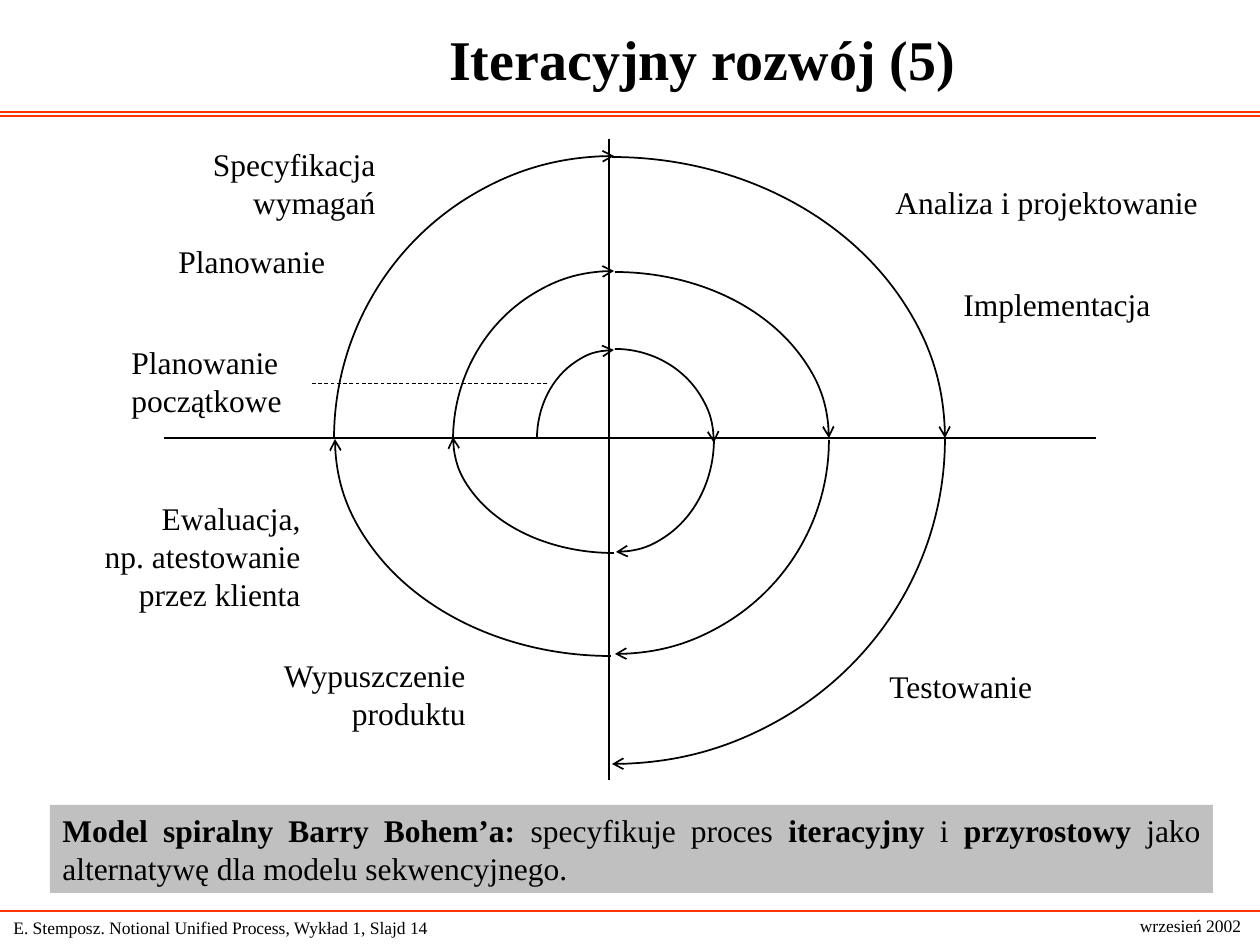
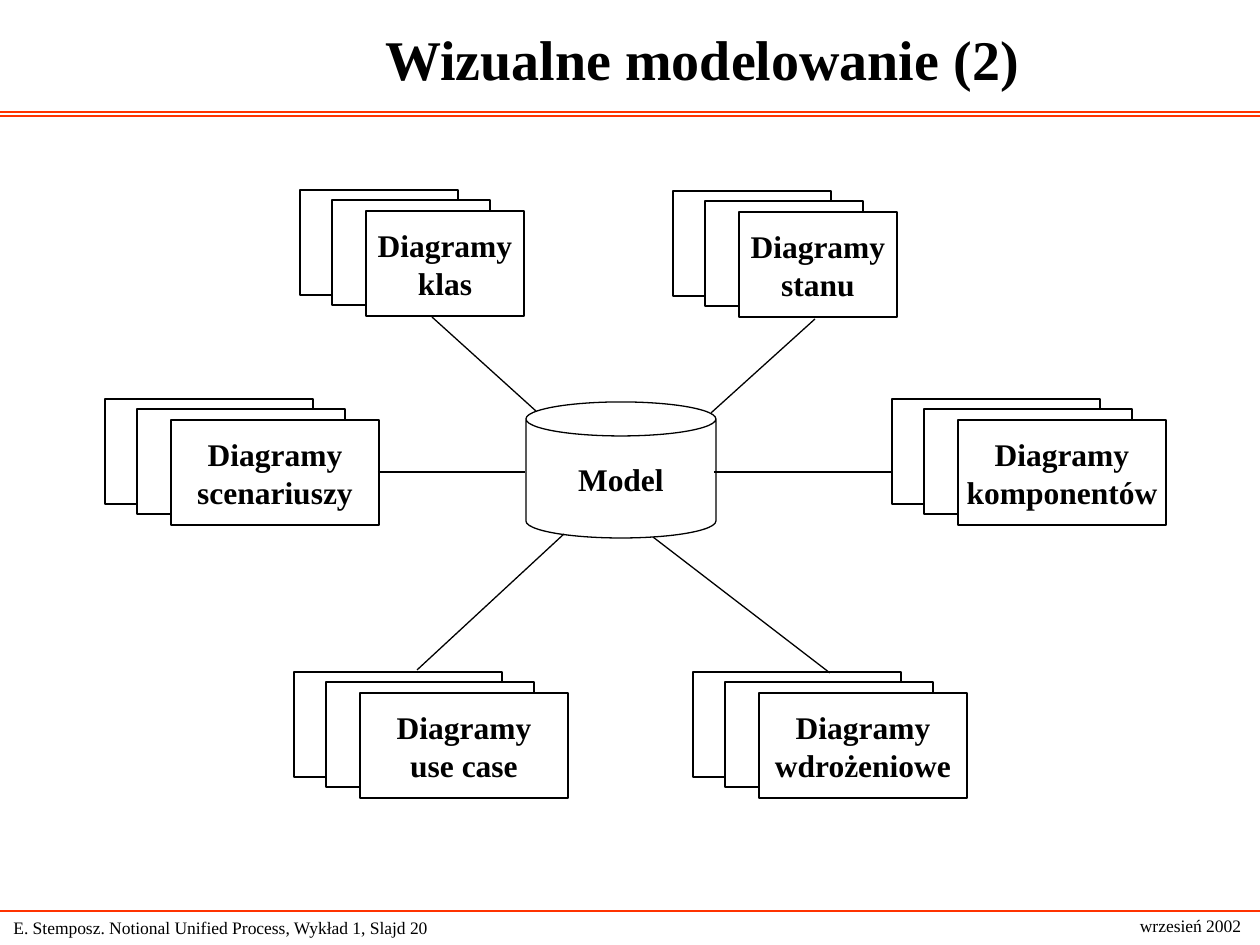
import pptx
import pptx.util
import pptx.dml.color
import pptx.enum.dml
import pptx.enum.shapes
import pptx.enum.text
import pptx.oxml.ns
import lxml.etree

RGB = pptx.dml.color.RGBColor
BLACK = RGB(0x00, 0x00, 0x00)
WHITE = RGB(0xFF, 0xFF, 0xFF)
GREY = RGB(0xC0, 0xC0, 0xC0)
RED = RGB(0xFF, 0x33, 0x00)
FONT = "Times New Roman"

SCALE = 914400 // 126
WIDTH, HEIGHT = 1260, 945
SHAPE = pptx.enum.shapes.MSO_SHAPE
ALIGN = pptx.enum.text.PP_ALIGN
ANCHOR = pptx.enum.text.MSO_ANCHOR


def emu(*sizes):
    return [pptx.util.Emu(size * SCALE) for size in sizes]


def add_mark(parent, tag, **attrs):
    return lxml.etree.SubElement(parent, pptx.oxml.ns.qn(tag), **attrs)


def write(shape, text, size=18, bold=False, align=ALIGN.LEFT,
          anchor=ANCHOR.TOP, wrap=False):
    """Fill a shape with text; asterisks switch bold on and off."""
    frame = shape.text_frame
    frame.word_wrap = wrap
    frame.vertical_anchor = anchor
    for i, line in enumerate(text.split("\n")):
        para = frame.paragraphs[0] if i == 0 else frame.add_paragraph()
        para.alignment = align
        for j, part in enumerate(line.split("*")):
            if not part:
                continue
            run = para.add_run()
            run.text = part
            run.font.name = FONT
            run.font.size = pptx.util.Pt(size)
            run.font.bold = bold or j % 2 == 1
            run.font.color.rgb = BLACK


def add_text(slide, box, text, **style):
    write(slide.shapes.add_textbox(*emu(*box)), text, **style)


def add_form(slide, kind, box, fill=None, width=None):
    form = slide.shapes.add_shape(kind, *emu(*box))
    form.shadow.inherit = False
    if fill is None:
        form.fill.background()
    else:
        form.fill.solid()
        form.fill.fore_color.rgb = fill
    if width is None:
        form.line.fill.background()
    else:
        form.line.color.rgb = BLACK
        form.line.width = pptx.util.Pt(width)
    return form


def add_line(slide, start, end, color=BLACK, width=0.75):
    line = slide.shapes.add_connector(
        pptx.enum.shapes.MSO_CONNECTOR.STRAIGHT, *emu(*start, *end))
    line.line.color.rgb = color
    line.line.width = pptx.util.Pt(width)
    add_mark(line._element.spPr, "a:effectLst")
    return line


def add_page(deck, title, number):
    slide = deck.slides.add_slide(deck.slide_layouts[6])
    for y in (112, 116, 911):
        add_line(slide, (0, y), (WIDTH, y), RED)
    add_text(slide, (146, 0, 1113, 116), title, size=32, bold=True,
             align=ALIGN.CENTER, anchor=ANCHOR.MIDDLE, wrap=True)
    add_text(slide, (1, 911, 564, 34),
             f"E. Stemposz. Notional Unified Process, Wykład 1, Slajd {number}",
             size=10, anchor=ANCHOR.MIDDLE, wrap=True)
    add_text(slide, (1125, 909, 131, 34), "wrzesień 2002", size=10,
             align=ALIGN.CENTER, anchor=ANCHOR.MIDDLE)
    return slide


def add_arc(slide, center, radii, start):
    """Draw a clockwise quarter of an ellipse with an arrow at its end."""
    (x, y), (rx, ry) = center, radii
    arc = add_form(slide, SHAPE.ARC, (x - rx, y - ry, 2 * rx, 2 * ry), width=1)
    # One adjustment unit is 100000 and one degree is 60000.
    arc.adjustments[0] = start * 0.6
    arc.adjustments[1] = (start + 90) % 360 * 0.6
    add_mark(arc.line._get_or_add_ln(), "a:tailEnd", type="arrow")


def add_spiral(slide, box):
    left, top, width, height = box
    hub_x, hub_y = left + 445, top + 299
    add_line(slide, (left, hub_y), (left + width, hub_y), width=1)
    add_line(slide, (hub_x, top), (hub_x, top + height), width=1)
    # Centre offset from the hub, then the two radii, for each quarter turn.
    turns = [
        (5, 1, 77, 89), (6, 5, 99, 94), (7, 1, 98, 113), (5, -1, 161, 116),
        (5, 2, 161, 169), (6, 0, 214, 166), (6, 2, 214, 214), (2, 1, 276, 217),
        (5, 1, 280, 283), (3, 0, 333, 281), (3, 1, 333, 325),
    ]
    for i, (dx, dy, rx, ry) in enumerate(turns):
        add_arc(slide, (hub_x + dx, hub_y + dy), (rx, ry), (180 + 90 * i) % 360)
    guide = add_line(slide, (left + 148, top + 244), (left + 384, top + 244),
                     width=0.5)
    guide.line.dash_style = pptx.enum.dml.MSO_LINE.DASH

    labels = [
        (2, 97, 190, 50, "Planowanie", ALIGN.LEFT),
        (719, 38, 340, 50, "Analiza i projektowanie", ALIGN.LEFT),
        (95, 511, 219, 88, "Wypuszczenie\nproduktu", ALIGN.RIGHT),
        (-82, 354, 231, 126, "Ewaluacja,\nnp. atestowanie\nprzez klienta",
         ALIGN.RIGHT),
        (-45, 198, 195, 88, "Planowanie\npoczątkowe", ALIGN.LEFT),
        (19, 0, 205, 88, "Specyfikacja\nwymagań", ALIGN.RIGHT),
        (787, 140, 225, 50, "Implementacja", ALIGN.LEFT),
        (713, 522, 190, 50, "Testowanie", ALIGN.LEFT),
    ]
    for x, y, wide, high, text, align in labels:
        add_text(slide, (left + x, top + y, wide, high), text, align=align,
                 wrap=True)


def add_note(slide, box):
    note = add_form(slide, SHAPE.RECTANGLE, box, fill=GREY)
    write(note, "*Model spiralny Barry Bohem’a: *specyfikuje proces *iteracyjny*"
          " i *przyrostowy* jako alternatywę dla modelu sekwencyjnego.",
          align=ALIGN.JUSTIFY, wrap=True)


def add_stack(slide, box, text):
    """Lay three equal cards in steps and write on the front one."""
    left, top, width, height = box
    for dx, dy in ((0, 0), (32, 10), (66, 21)):
        card = add_form(slide, SHAPE.RECTANGLE,
                        (left + dx, top + dy, width, height), WHITE, 0.75)
    write(card, text, bold=True, align=ALIGN.CENTER, anchor=ANCHOR.MIDDLE)


def add_model(slide, box):
    left, top, width, height = box
    can = add_form(slide, SHAPE.CAN, (left + 421, top + 212, 190, 136),
                   width=0.75)
    can.adjustments[0] = 0.25
    write(can, "Model", bold=True, align=ALIGN.CENTER, anchor=ANCHOR.MIDDLE)

    # Stack corner and card width, kind of diagram, then the ends of its line.
    stacks = [
        (195, 0, 158, "klas", (327, 127), (431, 221)),
        (787, 209, 208, "komponentów", (609, 282), (787, 282)),
        (568, 1, 158, "stanu", (710, 129), (606, 223)),
        (588, 482, 208, "wdrożeniowe", (548, 347), (725, 483)),
        (189, 482, 208, "use case", (312, 480), (459, 344)),
        (0, 209, 208, "scenariuszy", (273, 282), (420, 282)),
    ]
    for x, y, wide, kind, start, end in stacks:
        add_stack(slide, (left + x, top + y, wide, 105), f"Diagramy\n{kind}")
        add_line(slide, (left + start[0], top + start[1]),
                 (left + end[0], top + end[1]))


def main():
    deck = pptx.Presentation()
    deck.slide_width, deck.slide_height = emu(WIDTH, HEIGHT)

    slide = add_page(deck, "Iteracyjny rozwój (5)", 14)
    add_spiral(slide, (164, 139, 932, 641))
    add_note(slide, (50, 805, 1163, 88))

    slide = add_page(deck, "Wizualne modelowanie (2)", 20)
    add_model(slide, (105, 190, 1061, 608))

    deck.save("out.pptx")


if __name__ == "__main__":
    main()
